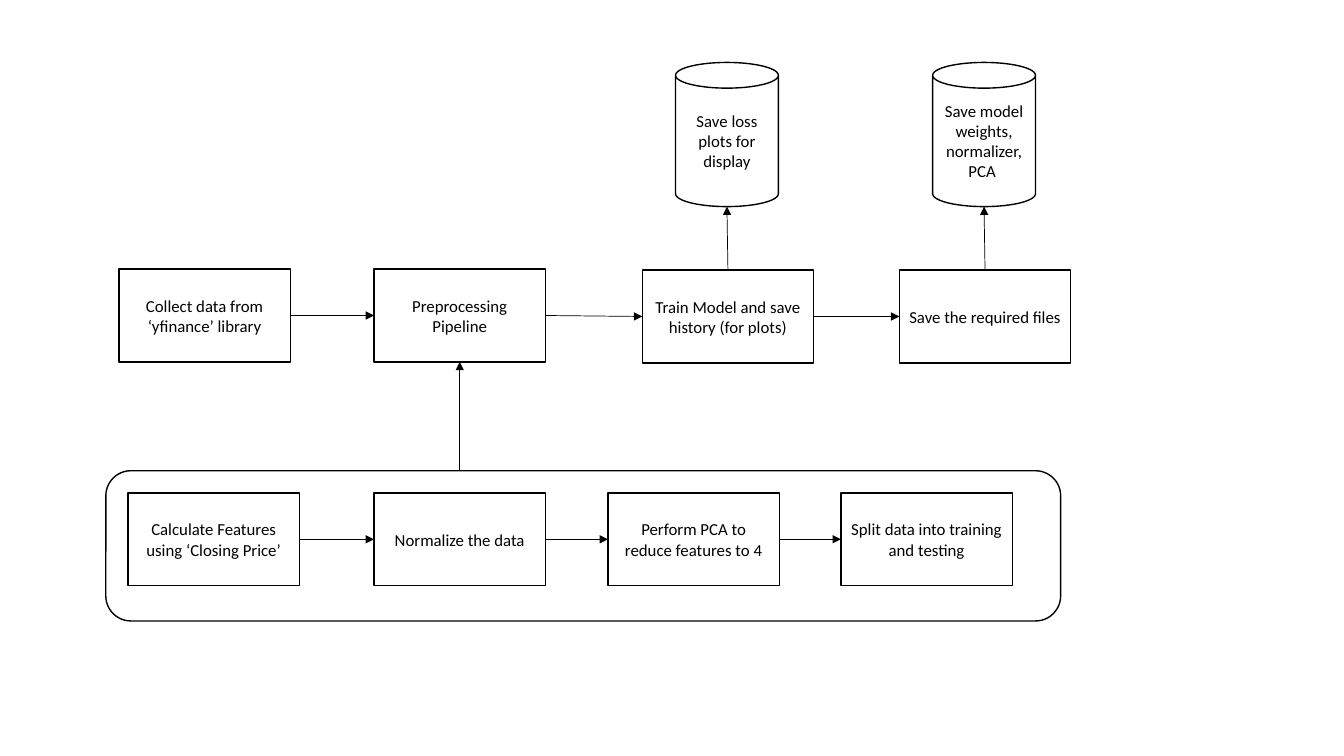
from itertools import pairwise

from pptx import Presentation
from pptx.dml.color import RGBColor
from pptx.enum.shapes import MSO_CONNECTOR, MSO_SHAPE
from pptx.enum.text import MSO_ANCHOR, PP_ALIGN
from pptx.oxml.ns import qn
from pptx.util import Inches, Pt
from lxml.etree import SubElement

COLORS = {"ink": "000000"}
TOP, LEFT, BOTTOM, RIGHT = range(4)


def write(shape, text, size=12, font="Calibri", color="ink", align=PP_ALIGN.CENTER):
    """Put formatted, wrapped text in the middle of a shape."""
    frame = shape.text_frame
    frame.word_wrap = True
    frame.vertical_anchor = MSO_ANCHOR.MIDDLE
    par = frame.paragraphs[0]
    par.alignment = align
    run = par.add_run()
    run.text = text
    run.font.size = Pt(size)
    run.font.name = font
    run.font.color.rgb = RGBColor.from_string(COLORS[color])


class Chart:
    """Draws flow chart parts in one style on the current slide."""

    def __init__(self, slide):
        """Keep the slide and the shared style."""
        self.slide = slide
        self.ink = RGBColor.from_string(COLORS["ink"])
        self.size = (1.7, 0.92)

    def shape(self, kind, left, top, width, height, text=""):
        """Add an outlined shape without fill."""
        shape = self.slide.shapes.add_shape(
            kind, Inches(left), Inches(top), Inches(width), Inches(height))
        shape.shadow.inherit = False
        shape.fill.background()
        shape.line.color.rgb = self.ink
        shape.line.width = Pt(1)
        if text:
            write(shape, text)
        return shape

    def step(self, left, top, text):
        """Add a process box."""
        return self.shape(MSO_SHAPE.RECTANGLE, left, top, *self.size, text)

    def store(self, left, text):
        """Add a storage cylinder."""
        return self.shape(MSO_SHAPE.CAN, left, 0.62, 1.02, 1.43, text)

    def arrow(self, start, end, width=0.5):
        """Add an arrow between points or (shape, side) joints."""
        line = self.slide.shapes.add_connector(MSO_CONNECTOR.STRAIGHT, 0, 0, 0, 0)
        if isinstance(start[0], float):
            line.begin_x, line.begin_y = map(Inches, start)
        else:
            line.begin_connect(*start)
        if isinstance(end[0], float):
            line.end_x, line.end_y = map(Inches, end)
        else:
            line.end_connect(*end)
        line.line.color.rgb = self.ink
        line.line.width = Pt(width)
        SubElement(line.line._get_or_add_ln(), qn("a:tailEnd"), type="triangle")
        SubElement(line._element.spPr, qn("a:effectLst"))

    def flow(self, steps):
        """Join boxes from left to right."""
        for prev, after in pairwise(steps):
            self.arrow((prev, RIGHT), (after, LEFT))


def main():
    """Build and save the training pipeline slide."""
    deck = Presentation()
    deck.slide_width, deck.slide_height = Inches(13.33), Inches(7.5)
    chart = Chart(deck.slides.add_slide(deck.slide_layouts[6]))

    stages = [chart.step(*stage) for stage in (
        (1.18, 2.67, "Collect data from ‘yfinance’ library"),
        (3.71, 2.67, "Preprocessing Pipeline"),
        (6.37, 2.68, "Train Model and save history (for plots)"),
        (8.92, 2.68, "Save the required files"),
    )]
    tasks = [chart.step(left, 4.89, text) for left, text in (
        (1.27, "Calculate Features using ‘Closing Price’"),
        (3.71, "Normalize the data"),
        (6.03, "Perform PCA to reduce features to 4"),
        (8.34, "Split data into training and testing"),
    )]
    chart.shape(MSO_SHAPE.ROUNDED_RECTANGLE, 1.05, 4.67, 9.47, 1.49)
    chart.flow(stages)
    chart.flow(tasks)

    for stage, left, text in (
        (stages[2], 6.7, "Save loss plots for display"),
        (stages[3], 9.25, "Save model weights, normalizer, PCA "),
    ):
        chart.store(left, text)
        chart.arrow((stage, TOP), (left + 0.51, 2.05))
    chart.arrow((4.56, 4.66), (stages[1], BOTTOM), width=0.75)

    deck.save("out.pptx")


if __name__ == "__main__":
    main()
